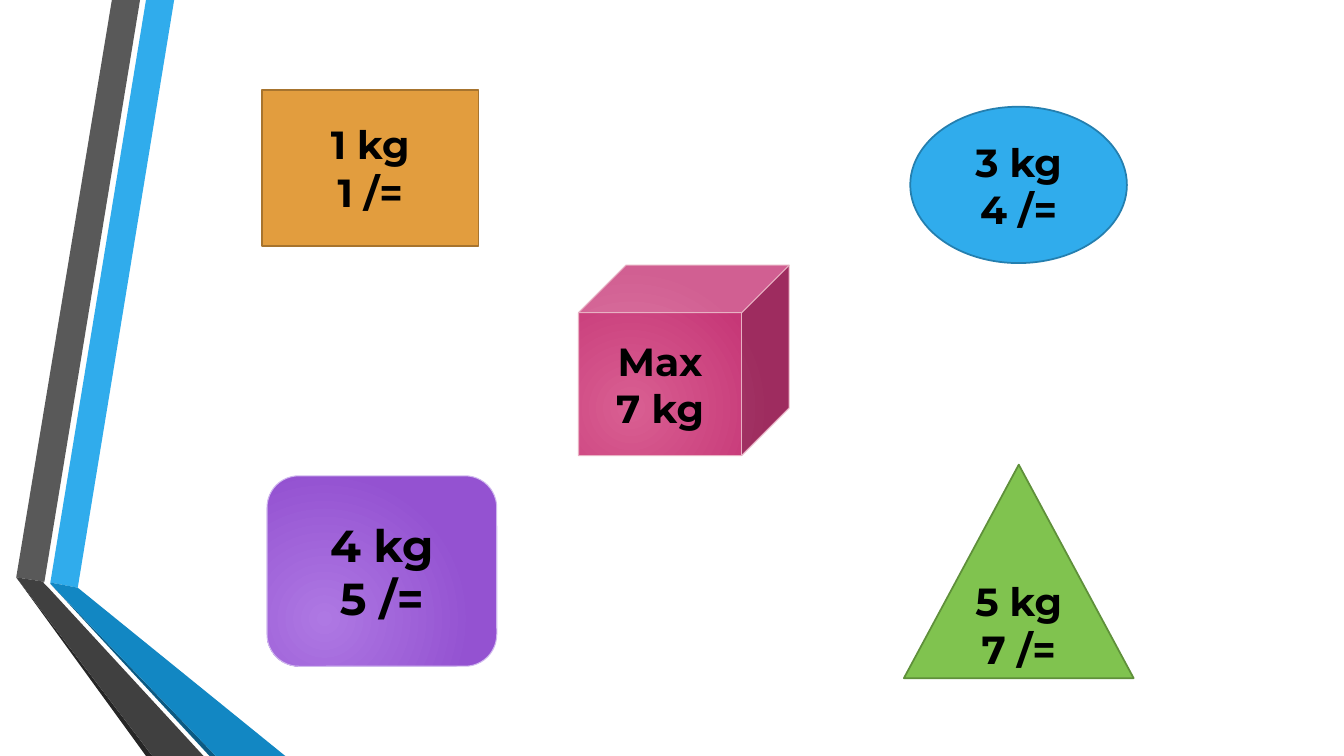
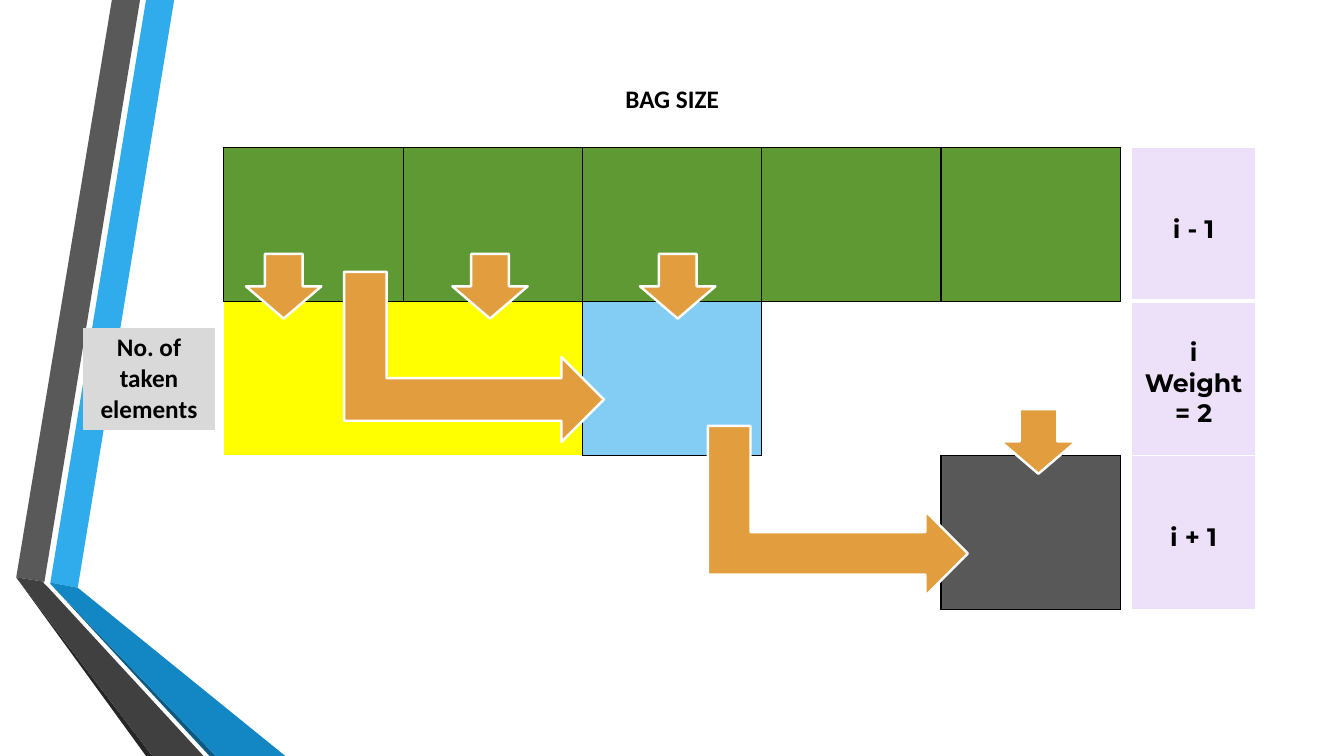
"""Build two slides on the knapsack problem: the items, then the table of bag sizes."""
from dataclasses import dataclass

from lxml.etree import SubElement
from pptx import Presentation
from pptx.dml.color import RGBColor
from pptx.enum.shapes import MSO_SHAPE as Shape
from pptx.enum.text import MSO_ANCHOR as Anchor, PP_ALIGN as Align
from pptx.oxml.ns import qn
from pptx.util import Cm, Pt


@dataclass(frozen=True)
class Theme:
    """Colours, fonts and type sizes."""
    ink: str = "000000"
    white: str = "FFFFFF"
    sky: str = "30ACEC"
    sea: str = "1287C3"
    navy: str = "0C5A82"
    iron: str = "595959"
    coal: str = "404040"
    soot: str = "262626"
    amber: str = "E29D3E"
    leaf: str = "80C34F"
    moss: str = "5F9934"
    lemon: str = "FFFF00"
    ice: str = "83CDF4"
    slate: str = "585858"
    ash: str = "D9D9D9"
    lilac: str = "EDE0F9"
    grape: tuple = ("AE78E3", "9452D1")
    rose: tuple = ("D95F92", "C63777")
    show: str = "Montserrat"
    body: str = "Calibri"
    big: int = 32
    item: int = 28
    small: int = 18


T = Theme()
PLAIN = "{2D5ABB26-0587-4C30-8999-92F81FD0307C}"

BANDS = [
    (T.sky, [(1.27, 14.68), (1.96, 14.81), (4.39, 0), (3.68, 0)]),
    (T.iron, [(3.53, 0), (2.82, 0), (0.41, 14.55), (1.12, 14.66)]),
    (T.soot, [(0.41, 14.55), (3.68, 19.05), (3.84, 19.05)]),
    (T.navy, [(1.27, 14.71), (5.28, 19.05), (5.44, 19.05)]),
    (T.sea, [(1.27, 14.68), (1.27, 14.71), (5.44, 19.05), (7.19, 19.05), (1.96, 14.81)]),
    (T.coal, [(5.13, 19.05), (1.22, 14.81), (1.09, 14.68), (1.12, 14.66),
              (0.41, 14.55), (3.84, 19.05)]),
]

ITEMS = [
    (Shape.RECTANGLE, (6.6, 2.26, 5.46, 3.94), T.amber, "A7742E", 1.25,
     ["1 kg", "1 /="], T.item),
    (Shape.OVAL, (22.94, 2.69, 5.46, 3.94), T.sky, "247FAF", 1.25,
     ["3 kg", "4 /="], T.item),
    (Shape.ROUNDED_RECTANGLE, (6.73, 11.99, 5.79, 4.8), T.grape, "D0B8EE", 0.75,
     ["4 kg", "5 /="], T.big),
    (Shape.ISOSCELES_TRIANGLE, (22.78, 11.71, 5.79, 5.38), T.leaf, "5F903A", 1.25,
     ["5 kg", "7 /="], T.item),
    (Shape.CUBE, (14.58, 6.68, 5.31, 4.8), T.rose, "E8B1C3", 0.75,
     ["Max", "7 kg"], T.item),
]

BAG = [
    [T.moss] * 5,
    [T.lemon, T.lemon, T.ice, None, None],
    [None, None, None, None, T.slate],
]
BOXED = (T.moss, T.ice, T.slate)
NOTES = [(["i - 1"], 1.68), (["i", "Weight", "= 2"], 0.9), (["i + 1"], 1.68)]
DOWNS = [(6.2, 6.4), (11.4, 6.4), (16.13, 6.4), (25.22, 10.31)]
BENDS = [(9.8, 5.72), (18.97, 9.6)]

LEFT, TOP = 5.64, 3.71
COL, ROW = 4.52, 3.88
SIDES = [("L", 0, -1), ("R", 0, 1), ("T", -1, 0), ("B", 1, 0)]


def rgb(code):
    """Turn a hex code into a colour."""
    return RGBColor.from_string(code)


def put(frame, lines, font=T.show, size=T.small, bold=True, color=T.ink, align=Align.CENTER):
    """Write each line as a paragraph in one format."""
    for n, line in enumerate(lines):
        para = frame.add_paragraph() if n else frame.paragraphs[0]
        para.alignment = align
        run = para.add_run()
        run.text = line
        run.font.name, run.font.size, run.font.bold = font, Pt(size), bold
        run.font.color.rgb = rgb(color)


def paint(shape, fill, line=None, width=1.0):
    """Fill a shape with one colour or a round blend, and set its outline."""
    shape.shadow.inherit = False
    if isinstance(fill, tuple):
        shape.fill.gradient()
        for stop, code in zip(shape.fill.gradient_stops, fill):
            stop.color.rgb = rgb(code)
        grad = shape.element.spPr.find(qn("a:gradFill"))
        grad.remove(grad.find(qn("a:lin")))
        ring = SubElement(grad, qn("a:path"), {"path": "circle"})
        SubElement(ring, qn("a:fillToRect"),
                   dict(l="50000", t="100000", r="100000", b="50000"))
    else:
        shape.fill.solid()
        shape.fill.fore_color.rgb = rgb(fill)
    if line:
        shape.line.color.rgb = rgb(line)
        shape.line.width = Pt(width)
    else:
        shape.line.fill.background()


def draw(slide, kind, box, fill, line, width):
    """Add a painted preset shape."""
    shape = slide.shapes.add_shape(kind, *map(Cm, box))
    paint(shape, fill, line, width)
    return shape


def edge(cell, side, color, width):
    """Draw one side of a cell, or hide it when there is no colour."""
    line = SubElement(cell._tc.get_or_add_tcPr(), qn("a:ln" + side), w=str(Pt(width)))
    if color:
        solid = SubElement(line, qn("a:solidFill"))
        SubElement(solid, qn("a:srgbClr"), val=color)
    else:
        SubElement(line, qn("a:noFill"))


def grid(slide, left, top, col, row, fills, boxed=(), color=T.ink, head=1):
    """Add a table of equal cells; a side shows where a boxed fill touches it."""
    rows, cols = len(fills), len(fills[0])
    table = slide.shapes.add_table(
        rows, cols, Cm(left), Cm(top), Cm(col * cols), Cm(row * rows)).table
    table.first_row = table.horz_banding = False
    table._tbl.tblPr.find(qn("a:tableStyleId")).text = PLAIN
    for r, line in enumerate(fills):
        for c, fill in enumerate(line):
            cell = table.cell(r, c)
            for side, down, over in SIDES:
                y, x = r + down, c + over
                near = fills[y][x] if 0 <= y < rows and 0 <= x < cols else None
                seen = fill in boxed or near in boxed
                under = (r, side) in ((0, "B"), (1, "T"))
                edge(cell, side, color if seen else None, head if under else 1)
            if fill:
                cell.fill.solid()
                cell.fill.fore_color.rgb = rgb(fill)
            else:
                cell.fill.background()
    return table


def band(slide, master):
    """Draw the folded bands and place them on the master."""
    tree = master.element.cSld.spTree
    for fill, dots in BANDS:
        (x, y), *rest = [(Cm(a), Cm(b)) for a, b in dots]
        pen = slide.shapes.build_freeform(x, y)
        pen.add_line_segments(rest, close=True)
        shape = pen.convert_to_shape()
        paint(shape, fill)
        tree.append(shape.element)


def items(slide):
    """Draw the items and the bag."""
    for kind, box, fill, line, width, text, size in ITEMS:
        shape = draw(slide, kind, box, fill, line, width)
        shape.text_frame.vertical_anchor = Anchor.MIDDLE
        put(shape.text_frame, text, size=size)


def steps(slide):
    """Draw the table of bag sizes with its arrows and labels."""
    grid(slide, LEFT, TOP, COL, ROW, BAG, BOXED)
    for spot in BENDS:
        bend = draw(slide, Shape.BENT_UP_ARROW, (*spot, 4.29, 6.55), T.amber, T.white, 1.75)
        bend.rotation = 90
    for spot in DOWNS:
        draw(slide, Shape.DOWN_ARROW, (*spot, 1.9, 1.63), T.amber, T.white, 1.75)
    title = grid(slide, LEFT, 2.01, COL * 5, 1.04, [[None]])
    put(title.cell(0, 0).text_frame, ["BAG SIZE"], font=T.body)
    label = grid(slide, 2.08, 8.26, 3.35, 2.54, [[T.ash]])
    put(label.cell(0, 0).text_frame, ["No. of taken elements"], font=T.body)
    notes = grid(slide, 28.52, TOP, 3.12, ROW, [[T.lilac]] * len(NOTES),
                 [T.lilac], T.white, head=3)
    for r, (text, gap) in enumerate(NOTES):
        cell = notes.cell(r, 0)
        cell.margin_top = Cm(gap)
        put(cell.text_frame, text)


def main():
    """Build and save the deck."""
    deck = Presentation()
    deck.slide_width, deck.slide_height = Cm(33.87), Cm(19.05)
    blank = deck.slide_layouts[6]
    first, second = [deck.slides.add_slide(blank) for _ in range(2)]
    band(first, deck.slide_master)
    items(first)
    steps(second)
    deck.save("out.pptx")


if __name__ == "__main__":
    main()
